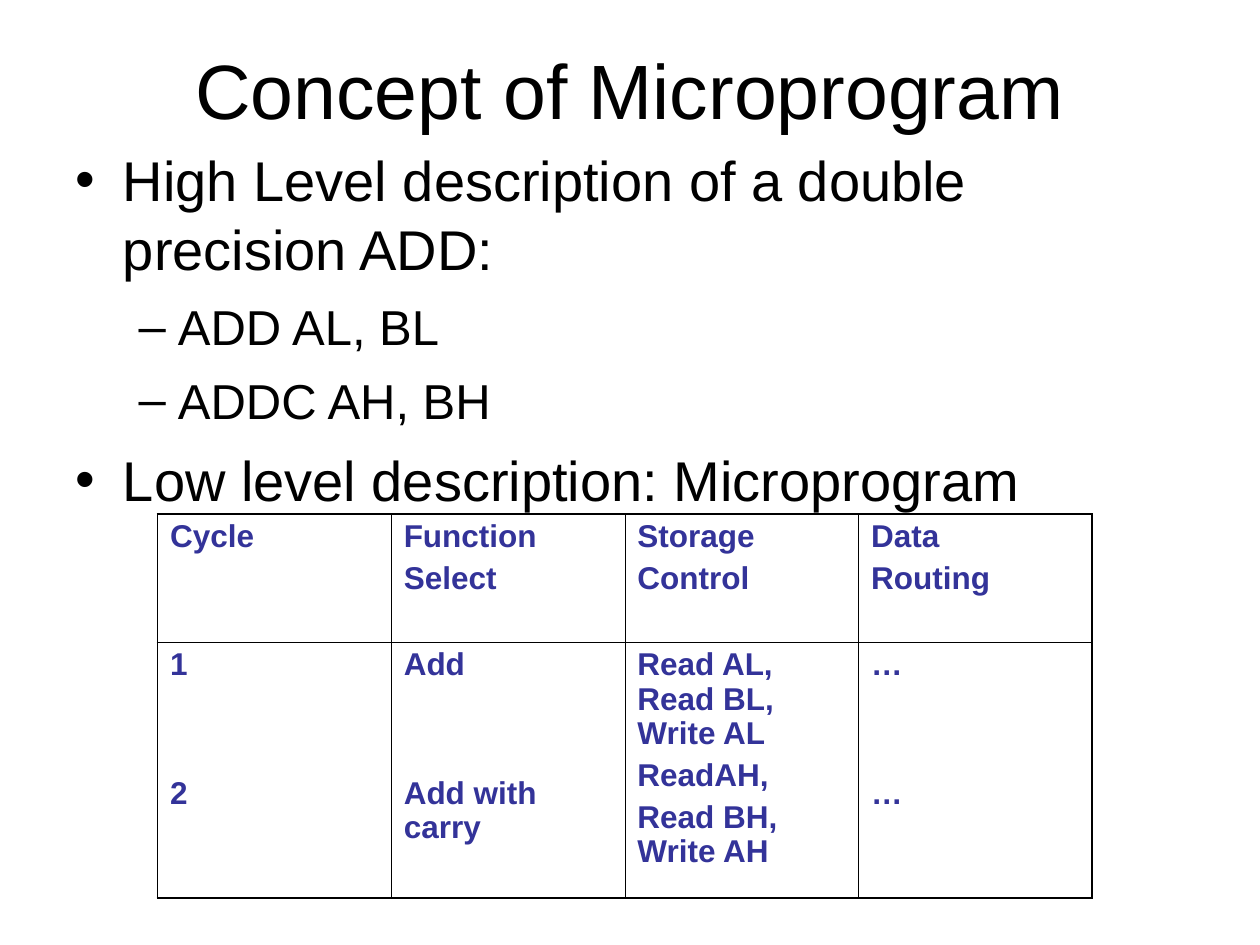
from collections import namedtuple
from lxml import etree
from pptx import Presentation
from pptx.dml.color import RGBColor
from pptx.enum.text import MSO_ANCHOR, MSO_AUTO_SIZE, PP_ALIGN
from pptx.oxml.ns import qn
from pptx.util import Inches, Pt

MIDDLE, TOP = MSO_ANCHOR.MIDDLE, MSO_ANCHOR.TOP
CENTER, LEFT = PP_ALIGN.CENTER, PP_ALIGN.LEFT
NO_AUTOFIT = MSO_AUTO_SIZE.NONE

Box = namedtuple("Box", "left top width height")


class Theme:
    font = "Arial"
    ink = "000000"
    table_ink = "333399"
    title_size = 44
    body_sizes = (32, 28)     # by list level
    body_gaps = (8, 7)
    body_leading = 1.04
    cell_size = 18
    cell_gap = 4.5
    cell_leading = 0.97
    second_cycle_gap = 54     # sets cycle 2 beside its storage steps
    outer_line, inner_line = 1.08, 0.45


BULLETS = [
    (0, "High Level description of a double precision ADD:"),
    (1, "ADD AL, BL"),
    (1, "ADDC AH, BH"),
    (0, "Low level description: Microprogram"),
]

# Each cell lists its paragraphs
MICROPROGRAM = [
    [["Cycle"], ["Function", "Select"], ["Storage", "Control"],
     ["Data", "Routing"]],
    [["1", "2"], ["Add", "Add with carry"],
     ["Read AL, Read BL, Write AL", "ReadAH,", "Read BH, Write AH"],
     ["…", "…"]],
]
STORAGE_COLUMN = 2
ROW_SHARES = (1 / 3, 2 / 3)


def place(shape, box):
    shape.left, shape.top, shape.width, shape.height = map(Inches, box)


def format_runs(para, size, color, bold=False):
    for span in para.runs:
        font = span.font
        font.name, font.size, font.bold = Theme.font, Pt(size), bold
        font.color.rgb = RGBColor.from_string(color)


def add_title(page, box, text):
    title = page.shapes.title
    place(title, box)
    frame = title.text_frame
    frame.text = text
    frame.auto_size, frame.vertical_anchor = NO_AUTOFIT, MIDDLE
    para = frame.paragraphs[0]
    para.alignment = CENTER
    format_runs(para, Theme.title_size, Theme.ink)


def add_bullets(page, box, items):
    body = page.placeholders[1]
    place(body, box)
    frame = body.text_frame
    frame.text = "\n".join(text for _, text in items)
    frame.auto_size, frame.vertical_anchor = NO_AUTOFIT, TOP
    for para, (level, _) in zip(frame.paragraphs, items):
        para.level = level
        para.space_before = Pt(Theme.body_gaps[level])
        para.line_spacing = Theme.body_leading
        format_runs(para, Theme.body_sizes[level], Theme.ink)


def set_borders(cell, widths):
    """Draw the left, right, top and bottom cell borders, in that order."""
    properties = cell._tc.get_or_add_tcPr()
    for index, (side, width) in enumerate(zip("LRTB", widths)):
        line = etree.Element(qn(f"a:ln{side}"), w=str(Pt(width)))
        fill = etree.SubElement(line, qn("a:solidFill"))
        etree.SubElement(fill, qn("a:srgbClr"), val=Theme.ink)
        properties.insert(index, line)


def fill_cell(cell, lines, second_gap):
    cell.fill.background()
    cell.text_frame.text = "\n".join(lines)
    for index, para in enumerate(cell.text_frame.paragraphs):
        para.alignment = LEFT
        para.space_before = Pt(second_gap if index == 1 else Theme.cell_gap)
        para.line_spacing = Theme.cell_leading
        format_runs(para, Theme.cell_size, Theme.table_ink, bold=True)


def add_microprogram_table(page, box, rows):
    row_count, column_count = len(rows), len(rows[0])
    table = page.shapes.add_table(
        row_count, column_count, *map(Inches, box)).table
    table.first_row = table.horz_banding = False
    for row, share in zip(table.rows, ROW_SHARES):
        row.height = Inches(box.height * share)
    for r, row in enumerate(rows):
        for c, lines in enumerate(row):
            cell = table.cell(r, c)
            spread = r > 0 and c != STORAGE_COLUMN
            fill_cell(cell, lines,
                      Theme.second_cycle_gap if spread else Theme.cell_gap)
            on_edge = (c == 0, c == column_count - 1,
                       r == 0, r == row_count - 1)
            set_borders(cell, [Theme.outer_line if edge else Theme.inner_line
                               for edge in on_edge])


def main():
    deck = Presentation()
    deck.slide_width, deck.slide_height = Inches(10), Inches(7.5)
    page = deck.slides.add_slide(deck.slide_layouts[1])
    add_title(page, Box(0.5, 0.08, 9, 1.25), "Concept of Microprogram")
    add_bullets(page, Box(0.5, 1.08, 9, 4.95), BULLETS)
    add_microprogram_table(page, Box(1.25, 4.08, 7.42, 3.05), MICROPROGRAM)
    deck.save("out.pptx")


if __name__ == "__main__":
    main()
